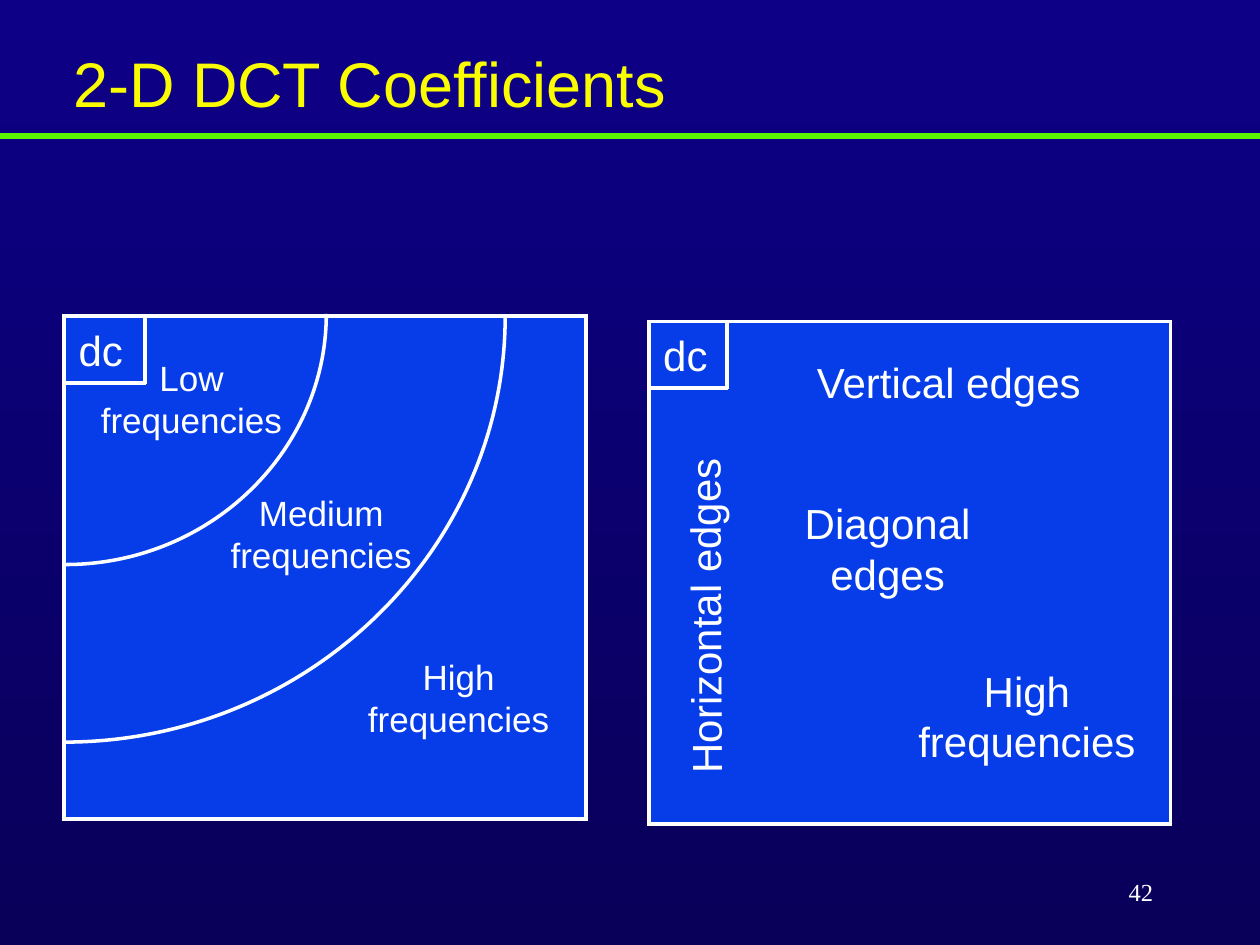
from lxml import etree
from pptx import Presentation
from pptx import util as u
from pptx.dml.color import RGBColor
from pptx.enum import shapes, text
from pptx.oxml import ns

COLUMNS, ROWS = 100, 75
CELL = u.Inches(0.1)
NAVY = RGBColor(0x0D, 0x00, 0x86)
DEEP_NAVY = RGBColor(0x09, 0x00, 0x59)
GREEN = RGBColor(0x5A, 0xF4, 0x00)
YELLOW = RGBColor(0xFA, 0xFD, 0x00)
BLUE = RGBColor(0x06, 0x3D, 0xE8)
WHITE = RGBColor(0xFF, 0xFF, 0xFF)
LEFT, CENTER, RIGHT = text.PP_ALIGN.LEFT, text.PP_ALIGN.CENTER, text.PP_ALIGN.RIGHT
PANEL_WIDTH, PANEL_HEIGHT = 41.4, 39.9
DC_HEIGHT = 5.3
ARC_HANDLE = 0.55


def cells(*counts):
    return [round(count * CELL) for count in counts]


def write(shape, content, size=24, font="Arial", color=WHITE, align=CENTER,
          anchor=text.MSO_ANCHOR.TOP, wrap=False):
    frame = shape.text_frame
    frame.text = content
    frame.auto_size = text.MSO_AUTO_SIZE.NONE
    frame.word_wrap = wrap
    frame.vertical_anchor = anchor
    for paragraph in frame.paragraphs:
        paragraph.alignment = align
        paragraph.font.size = u.Pt(size)
        paragraph.font.name = font
        paragraph.font.color.rgb = color


def add_label(slide, box, content, rotation=0, **style):
    shape = slide.shapes.add_textbox(*cells(*box))
    shape.rotation = rotation
    write(shape, content, **style)


def set_outline(shape, color=WHITE, width=2):
    shape.line.color.rgb = color
    shape.line.width = u.Pt(width)


def add_line(slide, start, end, **outline):
    line = slide.shapes.add_connector(
        shapes.MSO_CONNECTOR.STRAIGHT, *cells(*start, *end))
    set_outline(line, **outline)
    etree.SubElement(line._element.spPr, ns.qn("a:effectLst"))


def add_quarter_arc(slide, center, radii):
    left, top = cells(*center)
    width, height = cells(*radii)
    builder = slide.shapes.build_freeform(left + width, top)
    builder.add_line_segments([(left, top + height)], close=False)
    arc = builder.convert_to_shape()
    segment = next(arc._element.iter(ns.qn("a:lnTo")))
    segment.tag = ns.qn("a:cubicBezTo")
    handles = ((width, round(height * ARC_HANDLE)),
               (round(width * ARC_HANDLE), height))
    for index, (x, y) in enumerate(handles):
        point = etree.Element(ns.qn("a:pt"), x=str(x), y=str(y))
        segment.insert(index, point)
    arc.shadow.inherit = False
    arc.fill.background()
    set_outline(arc)


def add_panel(slide, left, top, dc_width):
    panel = slide.shapes.add_shape(
        shapes.MSO_SHAPE.RECTANGLE, *cells(left, top, PANEL_WIDTH, PANEL_HEIGHT))
    panel.shadow.inherit = False
    panel.fill.solid()
    panel.fill.fore_color.rgb = BLUE
    set_outline(panel)
    etree.SubElement(panel.line._get_or_add_ln(), ns.qn("a:miter"), lim="800000")
    right, bottom = left + dc_width, top + DC_HEIGHT
    add_label(slide, (left + 0.15, top + 0.2, 5.5, 5), "dc", align=LEFT)
    add_line(slide, (left, bottom), (right + 0.1, bottom))
    add_line(slide, (right, top), (right, bottom + 0.1))


def set_background(slide):
    fill = slide.background.fill
    fill.gradient()
    fill.gradient_angle = 270
    for stop, color, position in zip(fill.gradient_stops, (NAVY, DEEP_NAVY), (0, 1)):
        stop.color.rgb = color
        stop.position = position


def add_title(slide, content):
    title = slide.shapes.title
    title.left, title.top, title.width, title.height = cells(4.8, 3, 83.9, 7)
    write(title, content, size=36, color=YELLOW, align=LEFT, wrap=True)


def main():
    presentation = Presentation()
    presentation.slide_width, presentation.slide_height = cells(COLUMNS, ROWS)
    slide = presentation.slides.add_slide(presentation.slide_layouts[5])
    set_background(slide)
    add_line(slide, (0, 10.8), (COLUMNS, 10.8), color=GREEN, width=3)
    add_title(slide, "2-D DCT Coefficients")

    add_panel(slide, 5.1, 25.1, dc_width=6.4)
    add_quarter_arc(slide, (5.2, 24.9), (20.7, 19.9))
    add_quarter_arc(slide, (5.1, 25.1), (35, 33.8))
    for left, top, band in ((7, 27.8, "Low"), (17.3, 38.5, "Medium"),
                            (28.2, 51.5, "High")):
        add_label(slide, (left, top, 16.4, 7.7), f"{band}\nfrequencies", size=20)

    add_panel(slide, 51.5, 25.5, dc_width=6.2)
    add_label(slide, (62.9, 27.8, 24.8, 5), "Vertical edges", wrap=True)
    add_label(slide, (39.8, 46.4, 32.2, 5), "Horizontal edges",
              rotation=269.6, wrap=True)
    add_label(slide, (62.8, 39, 15.3, 9.1), "Diagonal\nedges")
    add_label(slide, (71.8, 52.3, 19.4, 9.1), "High\nfrequencies")

    add_label(slide, (71.7, 68.3, 20.8, 5), "42", size=14, font="Times New Roman",
              align=RIGHT, anchor=text.MSO_ANCHOR.MIDDLE, wrap=True)
    presentation.save("out.pptx")


if __name__ == "__main__":
    main()
